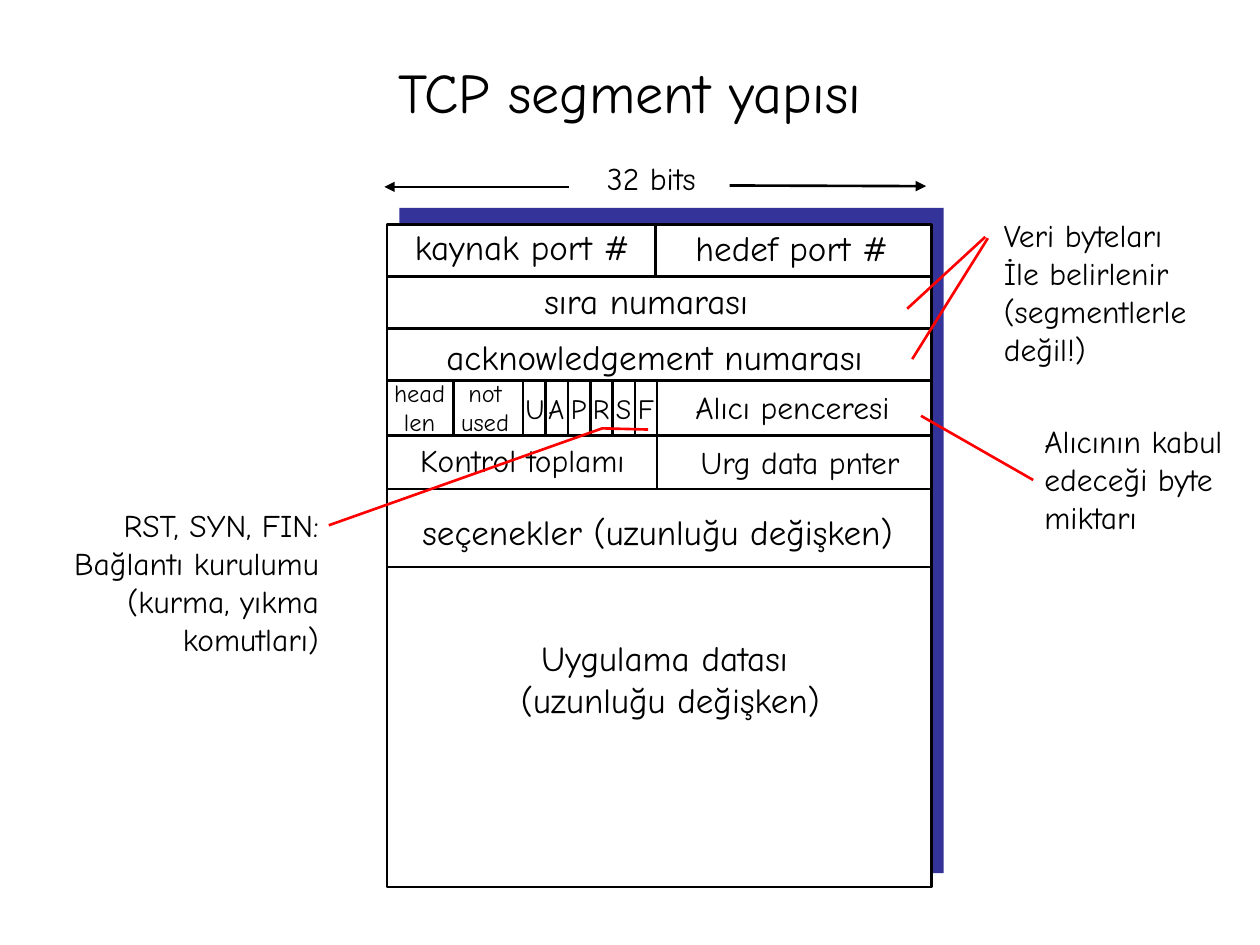
"""Build the TCP segment structure slide."""
import pptx
import pptx.util
import pptx.dml.color
import pptx.enum.shapes
import pptx.enum.text
import pptx.oxml.ns
from lxml import etree

Pt = pptx.util.Pt
ALIGN = pptx.enum.text.PP_ALIGN
RECT = pptx.enum.shapes.MSO_SHAPE.RECTANGLE
STRAIGHT = pptx.enum.shapes.MSO_CONNECTOR.STRAIGHT

FONT = "Comic Neue"
COLORS = {"ink": "000000", "paper": "FFFFFF", "shade": "333399", "mark": "FF0000"}
TITLE = "TCP segment yapısı"

LEFT, RIGHT = 221.2, 532.2
SHADE_BOX = (228.2, 118.8, 311, 380.2)
SEGMENT_BOX = (LEFT, 128.2, RIGHT - LEFT, 378.7)
ROW_LINES = [158.2, 187.8, 217.6, 249, 279.4, 324]
COLUMN_LINES = [(374.6, 128.2, 158.6), (375.4, 217.8, 279.4), (259.2, 217.6, 248.6)]
WIDTH_ARROWS = [(416.9, 106, 529.2, 106.4), (325.4, 106.8, 219.6, 106.8)]

FLAGS = "UAPRSF"
FLAG_LEFT, FLAG_STEP, FLAG_TOP, FLAG_SIZE = 298.9, 12.8, 220.4, 16

LABELS = [
    (["kaynak port #"], 229.7, 125.3, 137.5, 20),
    (["hedef port #"], 390.2, 126, 124.6, 20),
    (["32 bits"], 337.2, 87.1, 70, 18),
    (["Uygulama datası ", "(uzunluğu değişken)"], 290.2, 360, 185.8, 20),
    (["sıra numarası"], 271.4, 156.2, 195.8, 20),
    (["acknowledgement numarası"], 239.8, 187.9, 268.6, 20),
    (["Alıcı penceresi"], 390.2, 218.2, 125.3, 18),
    (["Urg data pnter"], 392.4, 249.8, 129.6, 18),
    (["Kontrol toplamı"], 232.6, 248.4, 131.8, 18),
    (["head", "len"], 215.8, 212.4, 48, 14),
    (["not", "used"], 253.2, 212.4, 48, 14),
    (["seçenekler (uzunluğu değişken)"], 234, 288, 283.7, 20),
]
NOTES = [
    (["RST, SYN, FIN:", "Bağlantı kurulumu", "(kurma, yıkma", "komutları)"],
     35.3, 285.8, 154.1, ALIGN.RIGHT),
    (["Alıcının kabul", "edeceği byte", "miktarı"], 589.7, 237.6, 116.6, ALIGN.LEFT),
    (["Veri byteları", "İle belirlenir", "(segmentlerle", "değil!)"],
     566.6, 120.2, 124.6, ALIGN.LEFT),
]
FLAG_POINTER = [(187.9, 300.2), (344.2, 244.8), (370.4, 245.5)]
POINTERS = [(590.4, 274.3, 526.3, 237.6), (564.5, 136.1, 521.3, 205.2),
            (563, 135.4, 518.4, 176.4)]


def rgb(name):
    return pptx.dml.color.RGBColor.from_string(COLORS[name])


def add_run(p, text, size):
    r = p.add_run()
    r.text = text
    r.font.name, r.font.size = FONT, Pt(size)
    r.font.color.rgb = rgb("ink")


def add_text(s, lines, x, y, w, size, align=ALIGN.CENTER):
    height = len(lines) * size * 1.2 + 7.2
    tf = s.shapes.add_textbox(Pt(x), Pt(y), Pt(w), Pt(height)).text_frame
    tf.word_wrap = False
    tf.auto_size = pptx.enum.text.MSO_AUTO_SIZE.SHAPE_TO_FIT_TEXT
    for i, line in enumerate(lines):
        p = tf.add_paragraph() if i else tf.paragraphs[0]
        p.alignment = align
        add_run(p, line, size)


def add_box(s, box, fill, outlined=False):
    sp = s.shapes.add_shape(RECT, *map(Pt, box))
    sp.shadow.inherit = False
    sp.fill.solid()
    sp.fill.fore_color.rgb = rgb(fill)
    if outlined:
        sp.line.color.rgb, sp.line.width = rgb("ink"), Pt(1.5)
    else:
        sp.line.fill.background()


def add_line(s, ends, color="ink", arrow=False):
    line = s.shapes.add_connector(STRAIGHT, *map(Pt, ends))
    line.line.color.rgb, line.line.width = rgb(color), Pt(1.5)
    qn = pptx.oxml.ns.qn
    if arrow:
        etree.SubElement(line.line._get_or_add_ln(), qn("a:tailEnd"), type="triangle")
    etree.SubElement(line._element.spPr, qn("a:effectLst"))


def add_title(s):
    sp = s.shapes.title
    sp.left, sp.top, sp.width, sp.height = Pt(36), Pt(21.6), Pt(648), Pt(60.5)
    sp.text_frame.vertical_anchor = pptx.enum.text.MSO_ANCHOR.MIDDLE
    p = sp.text_frame.paragraphs[0]
    p.alignment = ALIGN.CENTER
    add_run(p, TITLE, 32)


def add_segment(s):
    add_box(s, SHADE_BOX, "shade")
    add_box(s, SEGMENT_BOX, "paper", outlined=True)
    for y in ROW_LINES:
        add_line(s, (LEFT, y, RIGHT, y))
    for x, top, bottom in COLUMN_LINES:
        add_line(s, (x, top, x, bottom))
    for ends in WIDTH_ARROWS:
        add_line(s, ends, arrow=True)
    for i, flag in enumerate(FLAGS):
        x = FLAG_LEFT + i * FLAG_STEP
        add_line(s, (x, ROW_LINES[2], x, ROW_LINES[3]))
        add_text(s, [flag], x - 5.8, FLAG_TOP, 24, FLAG_SIZE)
    for label in LABELS:
        add_text(s, *label)


def add_notes(s):
    for lines, x, y, w, align in NOTES:
        add_text(s, lines, x, y, w, 18, align)
    points = [(Pt(x), Pt(y)) for x, y in FLAG_POINTER]
    builder = s.shapes.build_freeform(*points[0])
    builder.add_line_segments(points[1:], close=False)
    sp = builder.convert_to_shape()
    sp.shadow.inherit = False
    sp.fill.background()
    sp.line.color.rgb, sp.line.width = rgb("mark"), Pt(1.5)
    for ends in POINTERS:
        add_line(s, ends, "mark")


def main():
    prs = pptx.Presentation()
    prs.slide_width, prs.slide_height = Pt(720), Pt(540)
    s = prs.slides.add_slide(prs.slide_layouts[5])
    add_title(s)
    add_segment(s)
    add_notes(s)
    prs.save("out.pptx")


if __name__ == "__main__":
    main()
